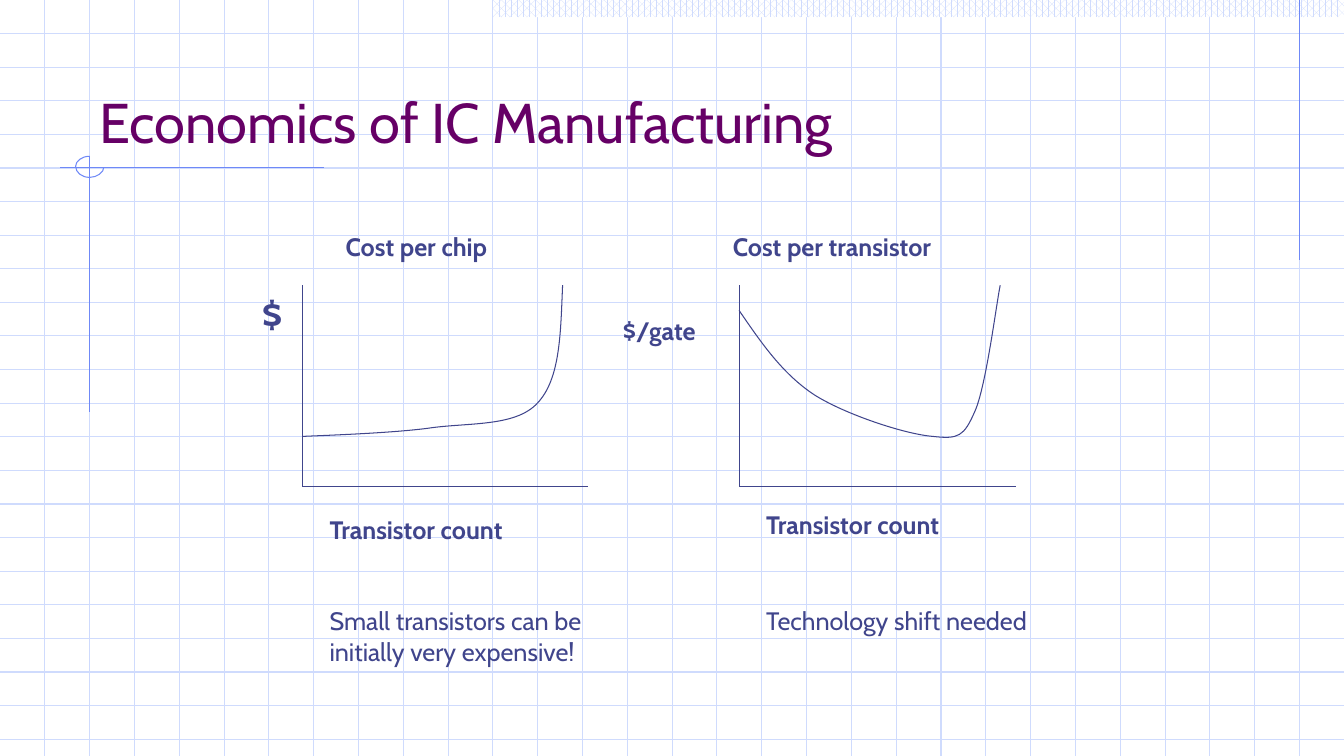
"""Build the slide on the economics of IC manufacturing."""
from dataclasses import dataclass

from lxml.etree import SubElement
from pptx import Presentation
from pptx.dml.color import RGBColor
from pptx.enum.dml import MSO_PATTERN
from pptx.enum.shapes import MSO_CONNECTOR, MSO_SHAPE
from pptx.enum.text import MSO_ANCHOR
from pptx.oxml.ns import qn
from pptx.shapes.shapetree import SlideShapes
from pptx.util import Inches, Pt

Point = tuple[float, float]

FONT = "Cabin"
INK, PLUM, SKY, MIST, WHITE = "40458C", "660066", "6F89F7", "CFDBFD", "FFFFFF"
LINE_WIDTH = Pt(0.75)
SLIDE_WIDTH, SLIDE_HEIGHT = 13.33, 7.5
GRID_ROW, GRID_COLUMN = 1 / 3, 4 / 9


@dataclass
class Label:
    text: str
    left: float
    top: float
    width: float
    height: float = 0.4
    size: int = 18
    bold: bool = True
    color: str = INK
    anchor: MSO_ANCHOR = MSO_ANCHOR.TOP


@dataclass
class Rule:
    start: Point
    end: Point
    color: str = SKY


@dataclass
class Curve:
    """Cubic curve: a start point, then three control points per segment."""
    points: list[Point]
    color: str = INK


@dataclass
class Plot:
    left: float
    axis_length: float
    cost_curve: Curve
    labels: list[Label]


PLOT_TOP, PLOT_BOTTOM = 2.83, 4.83

TITLE = Label("Economics of IC Manufacturing", 0.89, 0.33, 11.33, 1.25,
              size=40, bold=False, color=PLUM, anchor=MSO_ANCHOR.BOTTOM)

GRID_RULES = [
    *(Rule((0, row * GRID_ROW), (SLIDE_WIDTH, row * GRID_ROW), MIST)
      for row in range(1, 23)),
    *(Rule((column * GRID_COLUMN, 0), (column * GRID_COLUMN, SLIDE_HEIGHT), MIST)
      for column in range(1, 30)),
]
ORNAMENT_RULES = [
    Rule((12.89, 0), (12.89, 2.58)),
    Rule((3.21, 1.66), (0.6, 1.66)),
    Rule((0.89, 1.55), (0.89, 4.09)),
]
ORNAMENT_ARC = Curve([(0.89, 1.55), (0.81, 1.55), (0.75, 1.6), (0.75, 1.65),
                      (0.75, 1.71), (0.81, 1.76), (0.89, 1.76),
                      (0.96, 1.76), (1.03, 1.71), (1.03, 1.66)], SKY)

PLOTS = [
    Plot(3, 2.83,
         Curve([(3, 4.33), (3.21, 4.32), (3.85, 4.3), (4.24, 4.25),
                (4.63, 4.19), (5.11, 4.24), (5.33, 4),
                (5.56, 3.76), (5.56, 3.29), (5.58, 2.83)]),
         [Label("Cost per chip", 3.33, 2.25, 1.86),
          Label("$", 2.5, 2.83, 0.45, 0.57, size=28),
          Label("Transistor count", 3.17, 5.05, 2.27),
          Label("Small transistors can be initially very expensive!",
                3.17, 5.96, 2.94, 0.71, bold=False)]),
    Plot(7.33, 2.75,
         Curve([(7.33, 3.08), (7.55, 3.4), (7.76, 3.71), (8.08, 3.92),
                (8.4, 4.12), (8.99, 4.31), (9.25, 4.33),
                (9.51, 4.36), (9.56, 4.33), (9.67, 4.08),
                (9.78, 3.83), (9.88, 3.03), (9.92, 2.83)]),
         [Label("Cost per transistor", 7.17, 2.25, 2.56),
          Label("$/gate", 6.08, 3.08, 1.07),
          Label("Transistor count", 7.5, 5, 2.27),
          Label("Technology shift needed", 7.5, 5.96, 3.4, bold=False)]),
]


def rgb(color: str) -> RGBColor:
    return RGBColor.from_string(color)


def add_label(shapes: SlideShapes, label: Label) -> None:
    frame = shapes.add_textbox(Inches(label.left), Inches(label.top),
                               Inches(label.width), Inches(label.height)).text_frame
    frame.word_wrap = True
    frame.vertical_anchor = label.anchor
    paragraph = frame.paragraphs[0]
    paragraph.text = label.text
    paragraph.font.name = FONT
    paragraph.font.size = Pt(label.size)
    paragraph.font.bold = label.bold
    paragraph.font.color.rgb = rgb(label.color)


def add_rule(shapes: SlideShapes, rule: Rule) -> None:
    ends = [Inches(value) for value in (*rule.start, *rule.end)]
    connector = shapes.add_connector(MSO_CONNECTOR.STRAIGHT, *ends)
    connector.line.color.rgb = rgb(rule.color)
    connector.line.width = LINE_WIDTH
    SubElement(connector._element.spPr, qn("a:effectLst"))


def add_curve(shapes: SlideShapes, curve: Curve) -> None:
    start, *controls = [(Inches(x), Inches(y)) for x, y in curve.points]
    builder = shapes.build_freeform(*start)
    builder.add_line_segments(controls, close=False)
    outline = builder.convert_to_shape()
    outline.shadow.inherit = False
    outline.fill.background()
    outline.line.color.rgb = rgb(curve.color)
    outline.line.width = LINE_WIDTH

    route = next(outline._element.iter(qn("a:path")))
    straight_steps = route.findall(qn("a:lnTo"))
    for first in range(0, len(straight_steps), 3):
        bend = SubElement(route, qn("a:cubicBezTo"))
        for step in straight_steps[first:first + 3]:
            bend.append(step[0])
            route.remove(step)


def add_top_band(shapes: SlideShapes) -> None:
    band = shapes.add_shape(MSO_SHAPE.RECTANGLE, Inches(4.89), 0,
                            Inches(8.44), Inches(0.17))
    band.shadow.inherit = False
    band.line.fill.background()
    band.fill.patterned()
    band.fill.pattern = MSO_PATTERN.PERCENT_60
    band.fill.fore_color.rgb = rgb(MIST)
    band.fill.back_color.rgb = rgb(WHITE)


def add_plot(shapes: SlideShapes, plot: Plot) -> None:
    origin = (plot.left, PLOT_BOTTOM)
    add_rule(shapes, Rule((plot.left, PLOT_TOP), origin, INK))
    add_rule(shapes, Rule(origin, (plot.left + plot.axis_length, PLOT_BOTTOM), INK))
    add_curve(shapes, plot.cost_curve)
    for label in plot.labels:
        add_label(shapes, label)


def main() -> None:
    presentation = Presentation()
    presentation.slide_width = Inches(SLIDE_WIDTH)
    presentation.slide_height = Inches(SLIDE_HEIGHT)
    shapes = presentation.slides.add_slide(presentation.slide_layouts[6]).shapes

    for rule in GRID_RULES:
        add_rule(shapes, rule)
    add_top_band(shapes)
    for rule in ORNAMENT_RULES:
        add_rule(shapes, rule)
    add_curve(shapes, ORNAMENT_ARC)
    add_label(shapes, TITLE)
    for plot in PLOTS:
        add_plot(shapes, plot)

    presentation.save("out.pptx")


if __name__ == "__main__":
    main()
